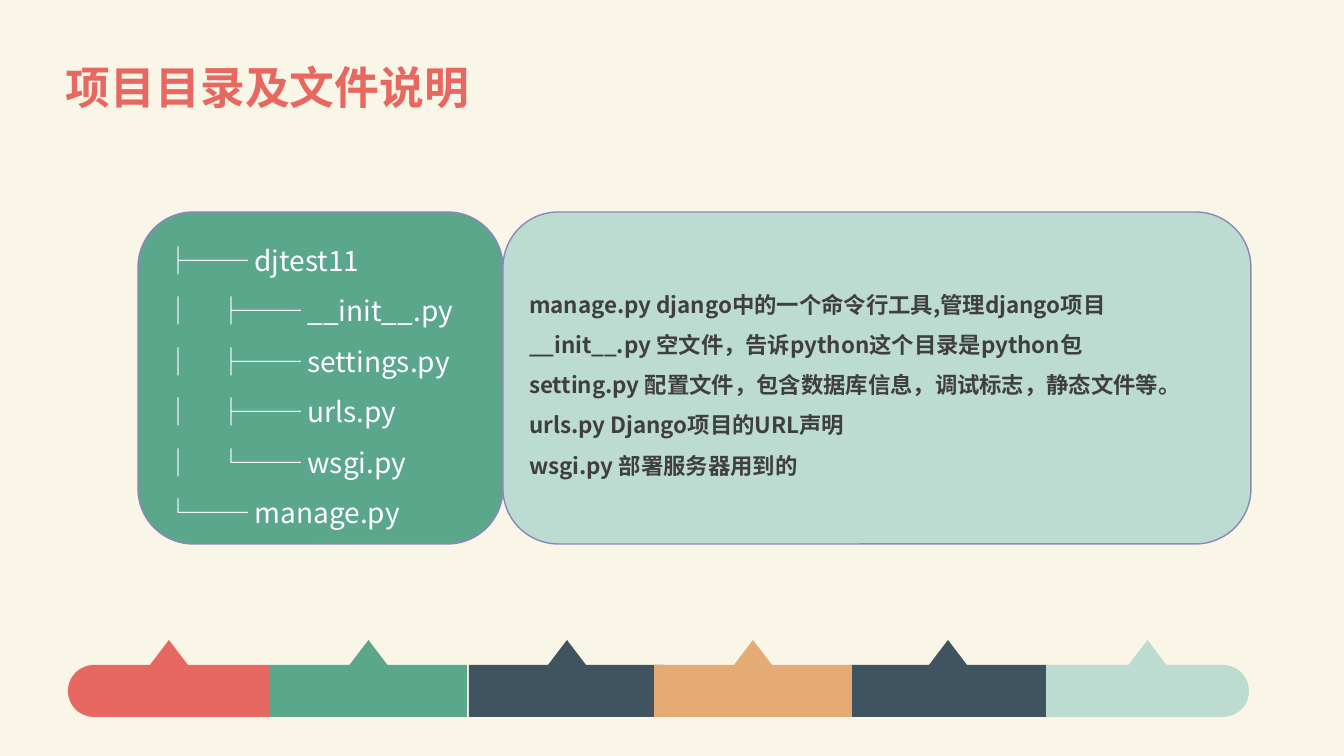
from dataclasses import dataclass
from math import cos, pi, sin

from lxml.etree import SubElement
from pptx import Presentation
from pptx.dml.color import RGBColor
from pptx.enum.shapes import MSO_SHAPE as Shape
from pptx.enum.text import MSO_ANCHOR as Anchor, PP_ALIGN as Align
from pptx.oxml.ns import qn
from pptx.util import Pt

EMU_PER_PX = 914400 / 100.8
CREAM, CORAL, GREEN, NAVY = "F9F6E7", "E76861", "5BA78C", "3F5361"
MINT, SAND, VIOLET, WHITE, GREY = "BDDCD1", "E5AB74", "8D86BA", "FFFFFF", "3F3F3F"

TREE = [
    "├── djtest11",
    "│\t├── __init__.py",
    "│\t├── settings.py",
    "│\t├── urls.py",
    "│\t└── wsgi.py",
    "└── manage.py",
]
NOTES = [
    "manage.py django中的一个命令行工具,管理django项目",
    "__init__.py 空文件，告诉python这个目录是python包",
    "setting.py 配置文件，包含数据库信息，调试标志，静态文件等。",
    "urls.py Django项目的URL声明",
    "wsgi.py 部署服务器用到的",
]
SEGMENTS = [
    (68, 270, CORAL),
    (270, 467, GREEN),
    (850, 1046, NAVY),
    (1046, 1249, MINT),
    (469, 665, NAVY),
    (654, 852, SAND),
]
BAR_LEFT, BAR_RIGHT = 68, 1249
TIP_Y, BAR_TOP, BAR_BOTTOM, TIP_HALF = 640, 665, 717, 19


def px(length):
    return round(length * EMU_PER_PX)


def paint(target, colour):
    target.solid()
    target.fore_color.rgb = RGBColor.from_string(colour)


def write(frame, lines, size, colour, bold=False, spacing=1.5, tab=None):
    frame.word_wrap = True
    frame.vertical_anchor = Anchor.MIDDLE
    for index, line in enumerate(lines):
        para = frame.add_paragraph() if index else frame.paragraphs[0]
        para.alignment = Align.LEFT
        para.line_spacing = spacing
        if tab:
            stops = SubElement(para._p.get_or_add_pPr(), qn("a:tabLst"))
            SubElement(stops, qn("a:tab"), pos=str(px(tab)), algn="l")
        span = para.add_run()
        span.text = line
        span.font.size = Pt(size)
        span.font.bold = bold
        span.font.name = Painter.font
        paint(span.font.fill, colour)
        SubElement(span.font._element, qn("a:ea"), typeface=Painter.font)


def round_end(centre, direction):
    radius = (BAR_BOTTOM - BAR_TOP) / 2
    middle = (BAR_TOP + BAR_BOTTOM) / 2
    angles = [pi * step / 24 for step in range(25)]
    return [
        (centre + direction * radius * sin(angle), middle - direction * radius * cos(angle))
        for angle in angles
    ]


@dataclass
class Painter:
    page: object
    font = "Noto Sans CJK SC"

    def background(self, colour):
        paint(self.page.background.fill, colour)

    def text(self, left, top, width, height, lines, **style):
        box = self.page.shapes.add_textbox(px(left), px(top), px(width), px(height))
        write(box.text_frame, lines, **style)

    def card(self, left, top, width, height, fill, lines, **style):
        box = self.page.shapes.add_shape(
            Shape.ROUNDED_RECTANGLE, px(left), px(top), px(width), px(height))
        box.shadow.inherit = False
        paint(box.fill, fill)
        paint(box.line.fill, VIOLET)
        box.line.width = Pt(1)
        write(box.text_frame, lines, **style)

    def polygon(self, points, colour):
        start, *others = [(px(x), px(y)) for x, y in points]
        builder = self.page.shapes.build_freeform(*start)
        builder.add_line_segments(others, close=True)
        outline = builder.convert_to_shape()
        outline.shadow.inherit = False
        paint(outline.fill, colour)
        outline.line.fill.background()

    def segment(self, left, right, colour):
        radius = (BAR_BOTTOM - BAR_TOP) / 2
        tip = (left + right) / 2
        right_side = [(right, BAR_TOP), (right, BAR_BOTTOM)]
        left_side = [(left, BAR_BOTTOM), (left, BAR_TOP)]
        if right == BAR_RIGHT:
            right_side = round_end(right - radius, 1)
        if left == BAR_LEFT:
            left_side = round_end(left + radius, -1)
        arrow = [(tip - TIP_HALF, BAR_TOP), (tip, TIP_Y), (tip + TIP_HALF, BAR_TOP)]
        self.polygon(arrow + right_side + left_side, colour)


def main():
    deck = Presentation()
    deck.slide_width, deck.slide_height = px(1344), px(756)
    painter = Painter(deck.slides.add_slide(deck.slide_layouts[6]))
    painter.background(CREAM)
    painter.text(56, 37, 1239, 107, ["项目目录及文件说明"],
                 size=32, colour=CORAL, bold=True, spacing=0.9)
    for left, right, colour in SEGMENTS:
        painter.segment(left, right, colour)
    painter.card(138, 212, 365, 332, GREEN, TREE, size=20, colour=WHITE, tab=53)
    painter.card(503, 212, 748, 332, MINT, NOTES, size=16, colour=GREY, bold=True)
    deck.save("out.pptx")


if __name__ == "__main__":
    main()
